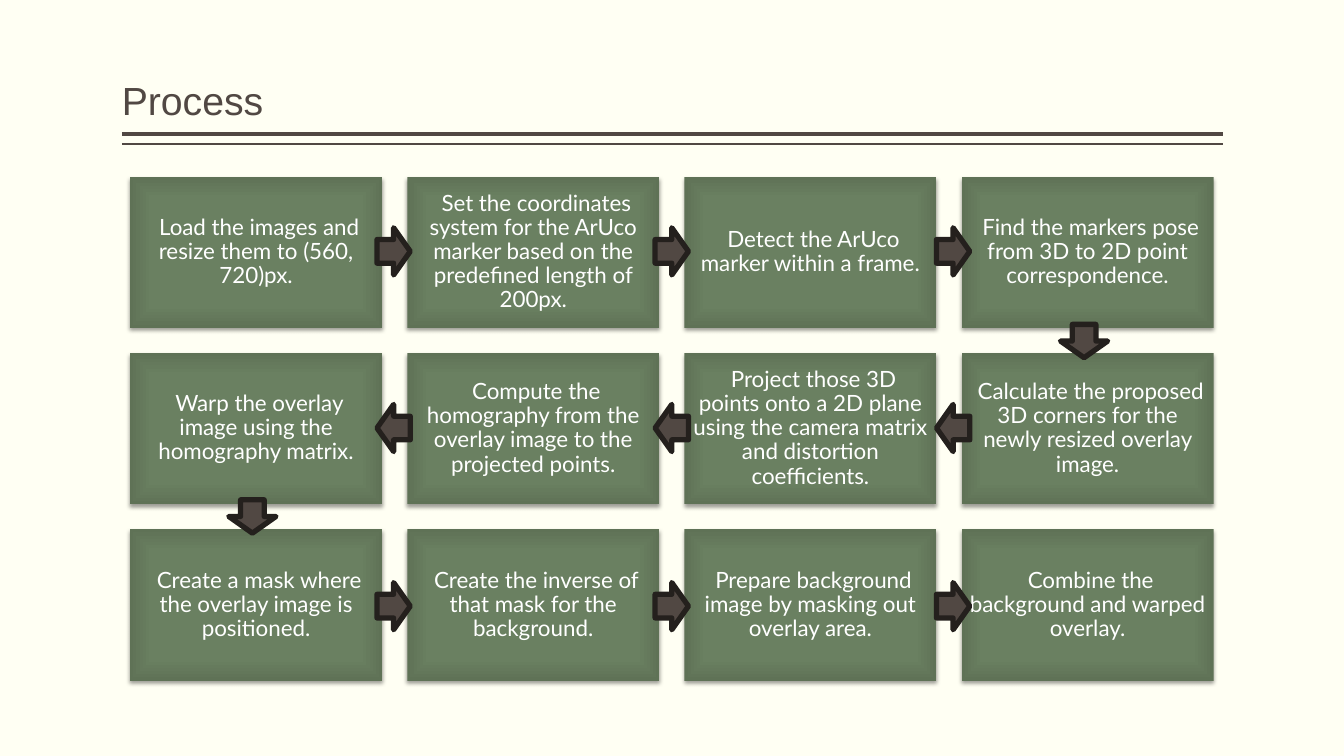
from dataclasses import dataclass

from pptx import Presentation
from pptx.dml.color import RGBColor
from pptx.enum.shapes import MSO_CONNECTOR, MSO_SHAPE
from pptx.enum.text import MSO_ANCHOR, PP_ALIGN
from pptx.oxml import parse_xml
from pptx.oxml.ns import nsdecls, qn
from pptx.util import Cm, Pt


@dataclass(frozen=True)
class Theme:
    background: str = "FFFFF3"
    ink: str = "514843"
    arrow_line: str = "24201D"
    box_text: str = "FFFFFF"
    box_stops: tuple = ((0, "6B8162"), (71, "6A8061"), (100, "5F7256"))
    title_font: str = "Arial"
    body_font: str = "Lato"
    title_size: int = 28
    body_size: int = 16


# Steps in the order of the flow; the middle row runs from right to left
STEPS = [
    ["Load the images and resize them to (560, 720)px.",
     "Set the coordinates system for the ArUco marker based on the predefined length of 200px.",
     "Detect the ArUco marker within a frame.",
     "Find the markers pose from 3D to 2D point correspondence."],
    ["Calculate the proposed 3D corners for the newly resized overlay image.",
     "Project those 3D points onto a 2D plane using the camera matrix and distortion coefficients.",
     "Compute the homography from the overlay image to the projected points.",
     "Warp the overlay image using the homography matrix."],
    ["Create a mask where the overlay image is positioned.",
     "Create the inverse of that mask for the background.",
     "Prepare background image by masking out overlay area.",
     "Combine the background and warped overlay."],
]
LEAD = " "  # no-break space before each step

# Grid of boxes and places of arrows, in centimetres
GRID_LEFT, GRID_TOP = 3.28, 4.45
BOX_WIDTH, BOX_HEIGHT, GAP = 6.35, 3.81, 0.635
ARROW_WIDTH, ARROW_HEIGHT = 0.84, 1.19
ARROW_LEFTS = (9.5, 16.51, 23.6)
ARROW_TOPS = (5.74, 10.19, 14.68)
TURNS = ((26.9, 8.0), (5.94, 12.42))


def write(text_frame, *runs, size, color, align, anchor, insets):
    """Fill a text frame with one paragraph of (text, font) runs."""
    text_frame.word_wrap = True
    text_frame.vertical_anchor = anchor
    (text_frame.margin_left, text_frame.margin_top,
     text_frame.margin_right, text_frame.margin_bottom) = map(Cm, insets)
    paragraph = text_frame.paragraphs[0]
    paragraph.alignment = align
    paragraph.line_spacing = 0.9
    for text, font in runs:
        run = paragraph.add_run()
        run.text = text
        run.font.name = font
        run.font.size = Pt(size)
        run.font.color.rgb = RGBColor.from_string(color)


class ProcessSlide:
    def __init__(self, presentation, theme):
        self.theme = theme
        self.slide = presentation.slides.add_slide(presentation.slide_layouts[5])
        fill = self.slide.background.fill
        fill.solid()
        fill.fore_color.rgb = RGBColor.from_string(theme.background)

    def title(self, text):
        shape = self.slide.shapes.title
        shape.left, shape.top, shape.width, shape.height = map(Cm, (3.07, 0.2, 27.74, 3.05))
        write(shape.text_frame, (text, self.theme.title_font),
              size=self.theme.title_size, color=self.theme.ink, align=PP_ALIGN.LEFT,
              anchor=MSO_ANCHOR.BOTTOM, insets=(0, 0.13, 0, 0.13))

    def rule(self, top, width):
        line = self.slide.shapes.add_connector(
            MSO_CONNECTOR.STRAIGHT, Cm(3.07), Cm(top), Cm(30.81), Cm(top))
        line.line.color.rgb = RGBColor.from_string(self.theme.ink)
        line.line.width = Pt(width)
        line._element.spPr.append(parse_xml(f"<a:effectLst {nsdecls('a')}/>"))

    def box(self, left, top, text):
        shape = self.slide.shapes.add_shape(
            MSO_SHAPE.RECTANGLE, Cm(left), Cm(top), Cm(BOX_WIDTH), Cm(BOX_HEIGHT))
        shape.line.fill.background()
        self.shade(shape)
        self.drop_shadow(shape)
        write(shape.text_frame, (LEAD, self.theme.title_font), (text, self.theme.body_font),
              size=self.theme.body_size, color=self.theme.box_text, align=PP_ALIGN.CENTER,
              anchor=MSO_ANCHOR.MIDDLE, insets=(0.18,) * 4)

    def shade(self, shape):
        """Gradient that darkens from the centre to the edges."""
        stops = "".join(f'<a:gs pos="{place * 1000}"><a:srgbClr val="{color}"/></a:gs>'
                        for place, color in self.theme.box_stops)
        shape.fill.gradient()
        properties = shape._element.spPr
        properties.replace(properties.find(qn("a:gradFill")), parse_xml(
            f'<a:gradFill {nsdecls("a")} rotWithShape="1"><a:gsLst>{stops}</a:gsLst>'
            '<a:path path="rect"><a:fillToRect l="50000" t="50000" r="50000" b="50000"/>'
            '</a:path></a:gradFill>'))

    def drop_shadow(self, shape):
        shape.shadow.inherit = False
        shape._element.spPr.find(qn("a:effectLst")).append(parse_xml(
            f'<a:outerShdw {nsdecls("a")} blurRad="{Pt(3.1)}" dist="{Pt(2)}" dir="5400000"'
            ' rotWithShape="0"><a:srgbClr val="000000"><a:alpha val="38000"/></a:srgbClr>'
            '</a:outerShdw>'))

    def arrow(self, left, top, rotation=0):
        shape = self.slide.shapes.add_shape(
            MSO_SHAPE.RIGHT_ARROW, Cm(left), Cm(top), Cm(ARROW_WIDTH), Cm(ARROW_HEIGHT))
        shape.rotation = rotation
        shape.shadow.inherit = False
        shape.fill.solid()
        shape.fill.fore_color.rgb = RGBColor.from_string(self.theme.ink)
        shape.line.color.rgb = RGBColor.from_string(self.theme.arrow_line)
        shape.line.width = Pt(3.78)


def main():
    presentation = Presentation()
    presentation.slide_width, presentation.slide_height = Cm(33.87), Cm(19.05)
    page = ProcessSlide(presentation, Theme())

    # Heading with its double rule
    page.rule(3.38, 3)
    page.rule(3.63, 1)
    page.title("Process")

    # Boxes
    for row, steps in enumerate(STEPS):
        left_to_right = steps[::-1] if row % 2 else steps
        for column, step in enumerate(left_to_right):
            page.box(GRID_LEFT + column * (BOX_WIDTH + GAP),
                     GRID_TOP + row * (BOX_HEIGHT + GAP), step)

    # Arrows along the rows, then down at the turns
    for row, top in enumerate(ARROW_TOPS):
        for left in ARROW_LEFTS:
            page.arrow(left, top, rotation=180 * (row % 2))
    for left, top in TURNS:
        page.arrow(left, top, rotation=90)

    presentation.save("out.pptx")


if __name__ == "__main__":
    main()
